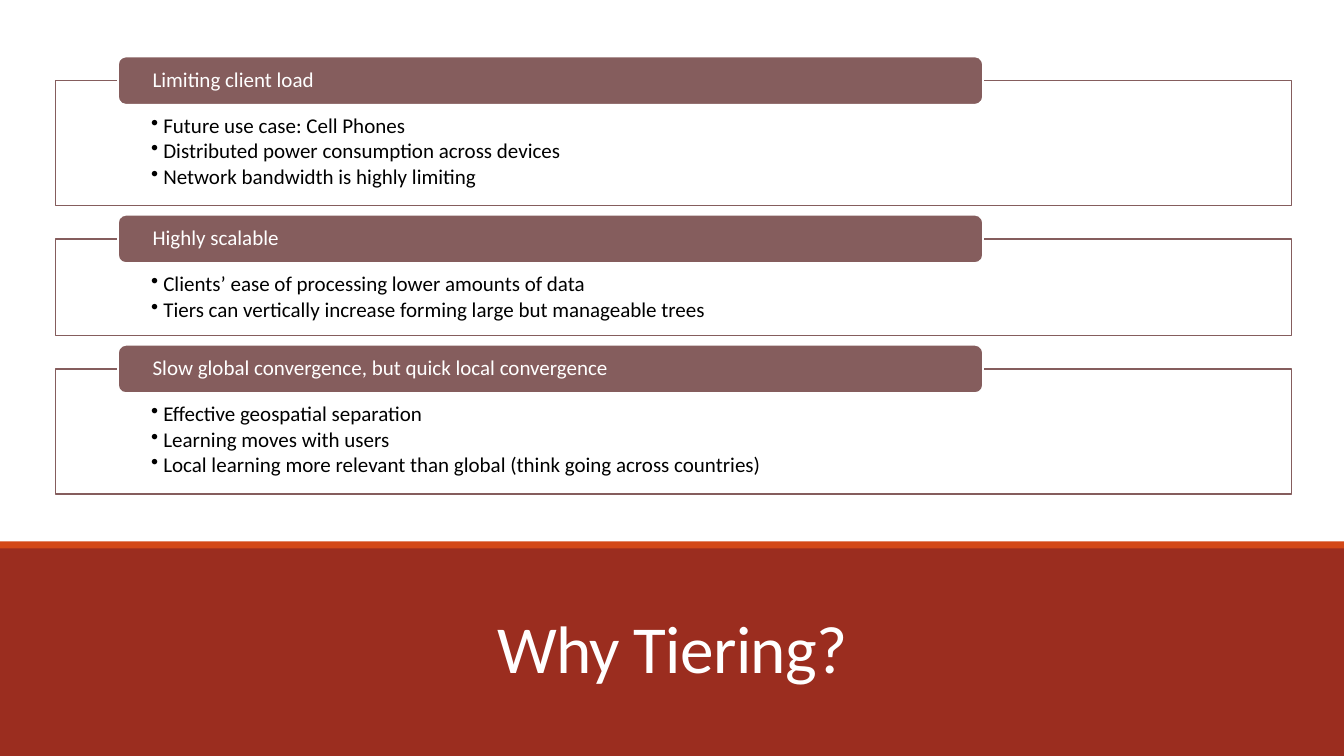
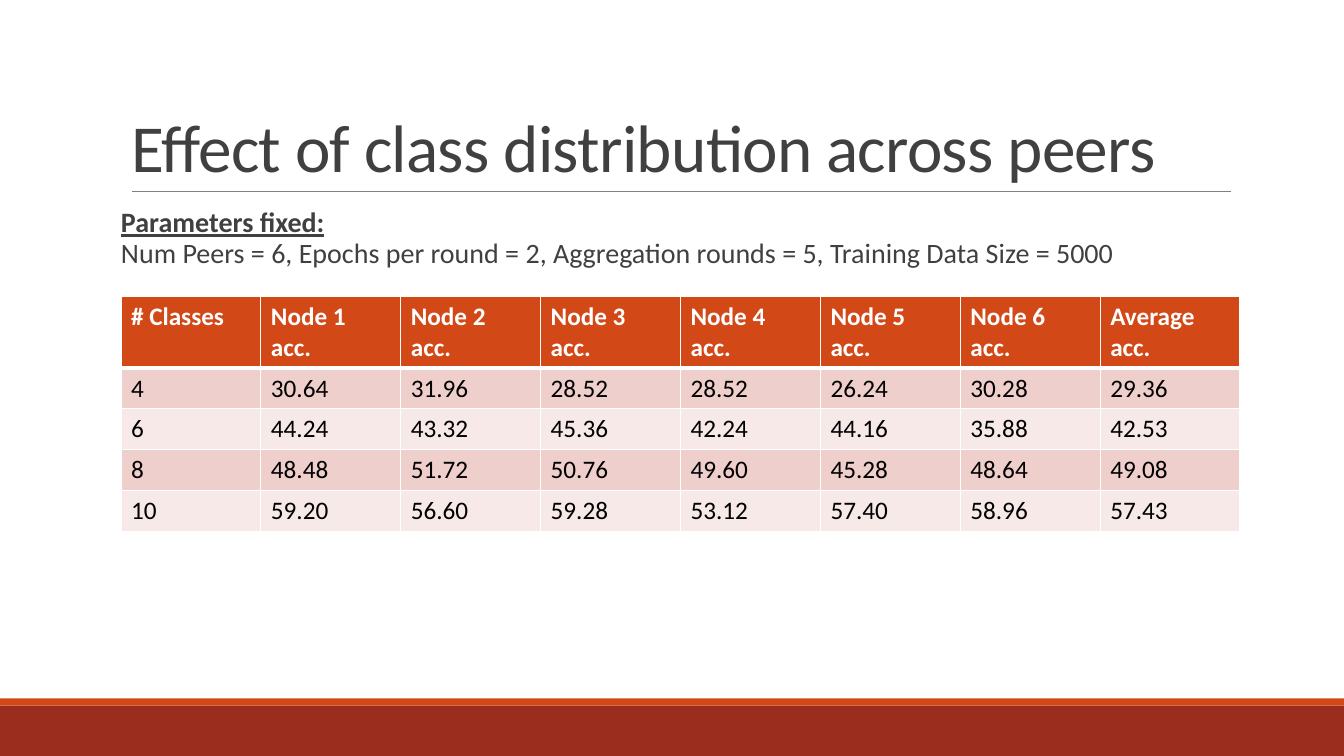
from dataclasses import dataclass

import pptx
import pptx.dml.color
import pptx.enum.shapes
import pptx.enum.text
import pptx.oxml.ns
import pptx.util
from lxml import etree

Inches = pptx.util.Inches
Pt = pptx.util.Pt
RGB = pptx.dml.color.RGBColor.from_string
SHAPE = pptx.enum.shapes.MSO_SHAPE
ANCHOR = pptx.enum.text.MSO_ANCHOR
ALIGN = pptx.enum.text.PP_ALIGN
qn = pptx.oxml.ns.qn


@dataclass(frozen=True)
class Theme:
    font: str = "Calibri"
    white: str = "FFFFFF"
    black: str = "000000"
    ink: str = "404040"
    rule: str = "808080"
    red: str = "9B2D1F"
    orange: str = "D34817"
    mauve: str = "855D5D"
    stripes: tuple = ("EFCFCC", "F7E9E8")
    title_size: int = 48
    body_size: int = 20
    table_size: int = 18
    panel_size: int = 15


def put(obj, values):
    for name, value in values.items():
        setattr(obj, name, value)


class Deck:
    def __init__(self, theme):
        self.theme = theme
        self.prs = pptx.Presentation()
        self.prs.slide_width = Inches(13.33)
        self.prs.slide_height = Inches(7.5)
        self.s = None

    def slide(self, layout):
        self.s = self.prs.slides.add_slide(self.prs.slide_layouts[layout])

    def place(self, sp, left, top, width, height):
        put(sp, {"left": Inches(left), "top": Inches(top),
                 "width": Inches(width), "height": Inches(height)})

    def frame(self, sp, anchor, insets=(0.1, 0.05, 0.1, 0.05)):
        tf = sp.text_frame
        sides = ("margin_left", "margin_top", "margin_right", "margin_bottom")
        put(tf, {"word_wrap": True, "vertical_anchor": anchor,
                 "auto_size": pptx.enum.text.MSO_AUTO_SIZE.NONE})
        put(tf, dict(zip(sides, map(Inches, insets))))
        return tf

    def run(self, p, text, size, color, **values):
        r = p.add_run()
        r.text = text
        put(r.font, {"name": self.theme.font, "size": Pt(size), **values})
        r.font.color.rgb = RGB(color)
        return r

    def bullet(self, p, char=None, indent=0):
        pPr = p._p.get_or_add_pPr()
        pPr.set("marL", str(Inches(indent)))
        pPr.set("indent", str(-Inches(indent)))
        if char:
            etree.SubElement(pPr, qn("a:buChar")).set("char", char)
        else:
            etree.SubElement(pPr, qn("a:buNone"))

    def box(self, at, fill, line=None, kind=SHAPE.RECTANGLE):
        sp = self.s.shapes.add_shape(kind, *map(Inches, at))
        sp.shadow.inherit = False
        sp.fill.solid()
        sp.fill.fore_color.rgb = RGB(fill)
        if line:
            sp.line.color.rgb = RGB(line)
            sp.line.width = Pt(1.25)
        else:
            sp.line.fill.background()
        return sp

    def band(self, top, strip_top):
        self.box((0, top, 13.33, 7.5 - top), self.theme.red)
        self.box((0, strip_top, 13.33, 0.07), self.theme.orange)

    def title(self, text, at, color, align):
        sp = self.s.shapes.title
        self.place(sp, *at)
        sp.element.getparent().append(sp.element)
        p = self.frame(sp, ANCHOR.BOTTOM).paragraphs[0]
        put(p, {"alignment": align, "line_spacing": 0.85})
        r = self.run(p, text, self.theme.title_size, color)
        r._r.get_or_add_rPr().set("spc", "-50")

    def body(self, heading, text, at):
        t = self.theme
        sp = self.s.placeholders[1]
        self.place(sp, *at)
        p = self.frame(sp, ANCHOR.TOP, (0, 0.05, 0, 0.05)).paragraphs[0]
        self.bullet(p)
        put(p, {"line_spacing": 0.9, "space_before": Pt(0), "space_after": Pt(2)})
        self.run(p, heading, t.body_size, t.ink, bold=True, underline=True)
        p.add_line_break()
        self.run(p, text, t.body_size, t.ink)

    def panel(self, top, heading, items):
        t = self.theme
        height = 0.4 + 0.28 * len(items)
        sp = self.box((0.55, top + 0.24, 12.26, height), t.white, t.mauve)
        tf = self.frame(sp, ANCHOR.TOP, (0.95, 0.34, 0.95, 0.12))
        for i, item in enumerate(items):
            p = tf.add_paragraph() if i else tf.paragraphs[0]
            self.bullet(p, "•", 0.12)
            put(p, {"alignment": ALIGN.LEFT, "line_spacing": 0.9,
                    "space_after": Pt(0.15 * t.panel_size)})
            self.run(p, item, t.panel_size, t.black)
        sp = self.box((1.17, top, 8.58, 0.48), t.mauve, t.white,
                      SHAPE.ROUNDED_RECTANGLE)
        p = self.frame(sp, ANCHOR.MIDDLE, (0.32, 0, 0.32, 0)).paragraphs[0]
        put(p, {"alignment": ALIGN.LEFT, "line_spacing": 0.9})
        self.run(p, heading, t.panel_size, t.white)
        return top + 0.24 + height

    def rule(self, left, right, y):
        line = self.s.shapes.add_connector(
            pptx.enum.shapes.MSO_CONNECTOR.STRAIGHT,
            Inches(left), Inches(y), Inches(right), Inches(y))
        line.line.color.rgb = RGB(self.theme.rule)
        line.line.width = Pt(0.5)
        etree.SubElement(line.element.spPr, qn("a:effectLst"))

    def borders(self, cell, **widths):
        tcPr = cell._tc.get_or_add_tcPr()
        for side, width in widths.items():
            ln = etree.SubElement(tcPr, qn("a:ln" + side))
            ln.set("w", str(Pt(width)))
            fill = etree.SubElement(ln, qn("a:solidFill"))
            etree.SubElement(fill, qn("a:srgbClr")).set("val", self.theme.white)

    def table(self, rows, at, head_height):
        t = self.theme
        left, top, width, height = at
        table = self.s.shapes.add_table(
            len(rows), len(rows[0]), *map(Inches, at)).table
        row_height = (height - head_height) / (len(rows) - 1)
        for col in table.columns:
            col.width = Inches(width / len(rows[0]))
        for i, values in enumerate(rows):
            head = i == 0
            table.rows[i].height = Inches(head_height if head else row_height)
            for j, value in enumerate(values):
                cell = table.cell(i, j)
                self.borders(cell, L=1, R=1, T=3 if i == 1 else 1,
                             B=3 if head else 1)
                cell.fill.solid()
                cell.fill.fore_color.rgb = RGB(
                    t.orange if head else t.stripes[(i - 1) % 2])
                self.run(cell.text_frame.paragraphs[0], value, t.table_size,
                         t.white if head else t.black, bold=head)


PANELS = [
    ("Limiting client load", [
        "Future use case: Cell Phones",
        "Distributed power consumption across devices",
        "Network bandwidth is highly limiting"]),
    ("Highly scalable", [
        "Clients’ ease of processing lower amounts of data",
        "Tiers can vertically increase forming large but manageable trees"]),
    ("Slow global convergence, but quick local convergence", [
        "Effective geospatial separation",
        "Learning moves with users",
        "Local learning more relevant than global (think going across countries)"]),
]

ACCURACY = [
    ["# Classes", *(f"Node {n} acc." for n in range(1, 7)), "Average acc."],
    ["4", "30.64", "31.96", "28.52", "28.52", "26.24", "30.28", "29.36"],
    ["6", "44.24", "43.32", "45.36", "42.24", "44.16", "35.88", "42.53"],
    ["8", "48.48", "51.72", "50.76", "49.60", "45.28", "48.64", "49.08"],
    ["10", "59.20", "56.60", "59.28", "53.12", "57.40", "58.96", "57.43"],
]


def main():
    deck = Deck(Theme())

    deck.slide(5)
    deck.band(5.42, 5.37)
    deck.title("Why Tiering?", (1.17, 5.74, 11, 1.13), deck.theme.white,
               ALIGN.CENTER)
    top = 0.56
    for heading, items in PANELS:
        top = deck.panel(top, heading, items) + 0.09

    deck.slide(1)
    deck.band(7, 6.93)
    deck.rule(1.31, 12.21, 1.9)
    deck.title("Effect of class distribution across peers",
               (1.2, 0.31, 11, 1.59), deck.theme.ink, ALIGN.LEFT)
    deck.body("Parameters fixed:",
              "Num Peers = 6, Epochs per round = 2, Aggregation rounds = 5, "
              "Training Data Size = 5000", (1.2, 2.02, 11, 4.4))
    deck.table(ACCURACY, (1.2, 2.94, 11.1, 2.32), 0.7)

    deck.prs.save("out.pptx")


if __name__ == "__main__":
    main()
